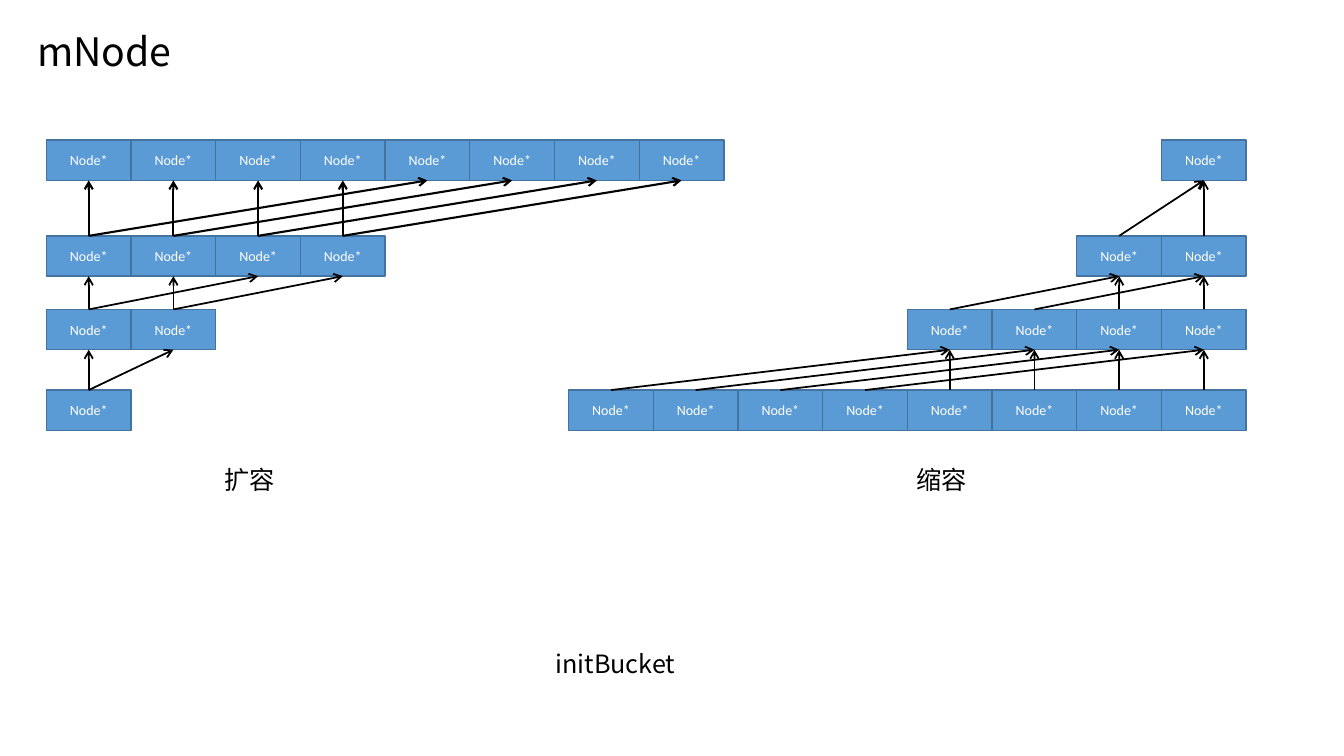
from lxml import etree
from pptx import Presentation
from pptx.dml.color import RGBColor
from pptx.enum.shapes import MSO_CONNECTOR, MSO_SHAPE
from pptx.enum.text import MSO_ANCHOR, MSO_AUTO_SIZE, PP_ALIGN
from pptx.oxml.ns import qn
from pptx.util import Inches, Pt

PROCESS = MSO_SHAPE.FLOWCHART_PROCESS
STRAIGHT = MSO_CONNECTOR.STRAIGHT
MIDDLE = MSO_ANCHOR.MIDDLE
CENTER = PP_ALIGN.CENTER
FIT_SHAPE = MSO_AUTO_SIZE.SHAPE_TO_FIT_TEXT

COLORS = {"node": "5B9BD5", "edge": "43739E", "text": "000000", "node_text": "FFFFFF"}
CELL_W, CELL_H = 0.84, 0.4
ROW_TOPS = [3.87, 3.07, 2.34, 1.39]
GROW_LEFT, SHRINK_RIGHT = 0.46, 12.36


def write(tf, text, size, font, color):
    tf.word_wrap = True
    p = tf.paragraphs[0]
    r = p.add_run()
    r.text = text
    for name, value in {"size": Pt(size), "name": font}.items():
        setattr(r.font, name, value)
    r.font.color.rgb = RGBColor.from_string(COLORS[color])
    etree.SubElement(r.font._element, qn("a:ea"), typeface=font)
    return p


def add_arrow(s, x1, y1, x2, y2, width):
    line = s.shapes.add_connector(STRAIGHT, Inches(x1), Inches(y1), Inches(x2), Inches(y2))
    line.line.color.rgb = RGBColor.from_string(COLORS["text"])
    line.line.width = Pt(width)
    etree.SubElement(line.line._get_or_add_ln(), qn("a:tailEnd"), type="arrow")
    etree.SubElement(line._element.spPr, qn("a:effectLst"))


prs = Presentation()
prs.slide_width, prs.slide_height = Inches(13.33), Inches(7.5)
s = prs.slides.add_slide(prs.slide_layouts[6])

labels = [
    ("mNode", 0.27, 0.22, 4.39, 0.57, 28),
    ("扩容", 2.13, 4.56, 2.51, 0.4, 18),
    ("缩容", 8.99, 4.56, 2.51, 0.4, 18),
    ("initBucket", 5.41, 6.38, 2.51, 0.4, 18),
]
for text, x, y, w, h, size in labels:
    tf = s.shapes.add_textbox(Inches(x), Inches(y), Inches(w), Inches(h)).text_frame
    write(tf, text, size, "Noto Sans CJK JP", "text")
    tf.auto_size = FIT_SHAPE

grow_counts = [1, 2, 4, 8]
shrink_counts = [8, 4, 2, 1]
diagrams = [
    (grow_counts, [GROW_LEFT] * 4, 1.5),
    (shrink_counts, [SHRINK_RIGHT - n * CELL_W for n in shrink_counts], 1.25),
]
for counts, lefts, top_width in diagrams:
    for count, left, top in zip(counts, lefts, ROW_TOPS):
        for i in range(count):
            sp = s.shapes.add_shape(PROCESS, Inches(left + i * CELL_W), Inches(top),
                                    Inches(CELL_W), Inches(CELL_H))
            sp.shadow.inherit = False
            sp.fill.solid()
            sp.fill.fore_color.rgb = RGBColor.from_string(COLORS["node"])
            sp.line.color.rgb = RGBColor.from_string(COLORS["edge"])
            sp.line.width = Pt(1)
            sp.text_frame.vertical_anchor = MIDDLE
            write(sp.text_frame, "Node*", 10, "Calibri", "node_text").alignment = CENTER

    for row, width in enumerate([1.25, 1.25, top_width]):
        lower, upper = counts[row], counts[row + 1]
        for i in range(max(lower, upper)):
            x1 = lefts[row] + (i % lower + 0.5) * CELL_W
            x2 = lefts[row + 1] + (i % upper + 0.5) * CELL_W
            add_arrow(s, x1, ROW_TOPS[row], x2, ROW_TOPS[row + 1] + CELL_H, width)

prs.save("out.pptx")
